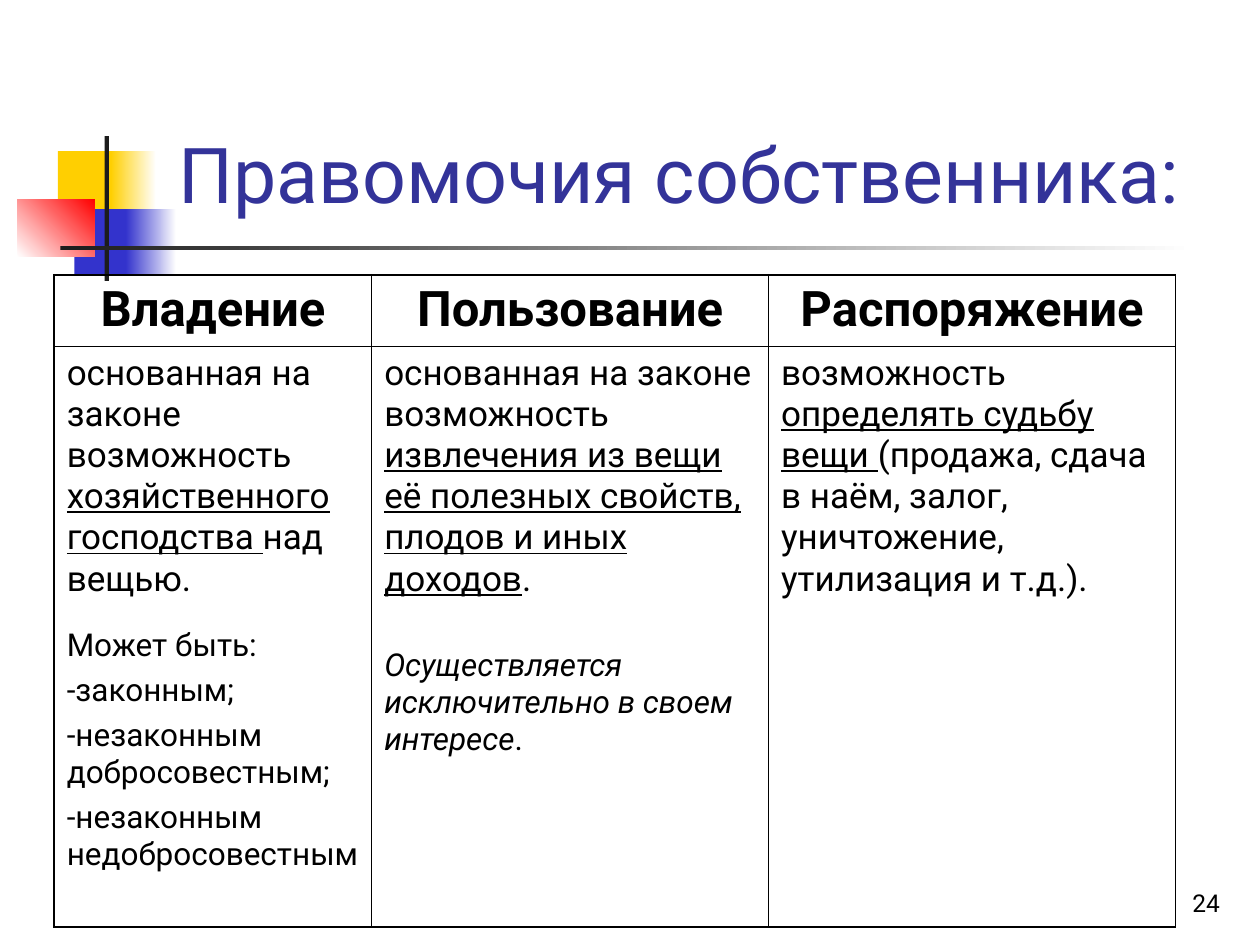
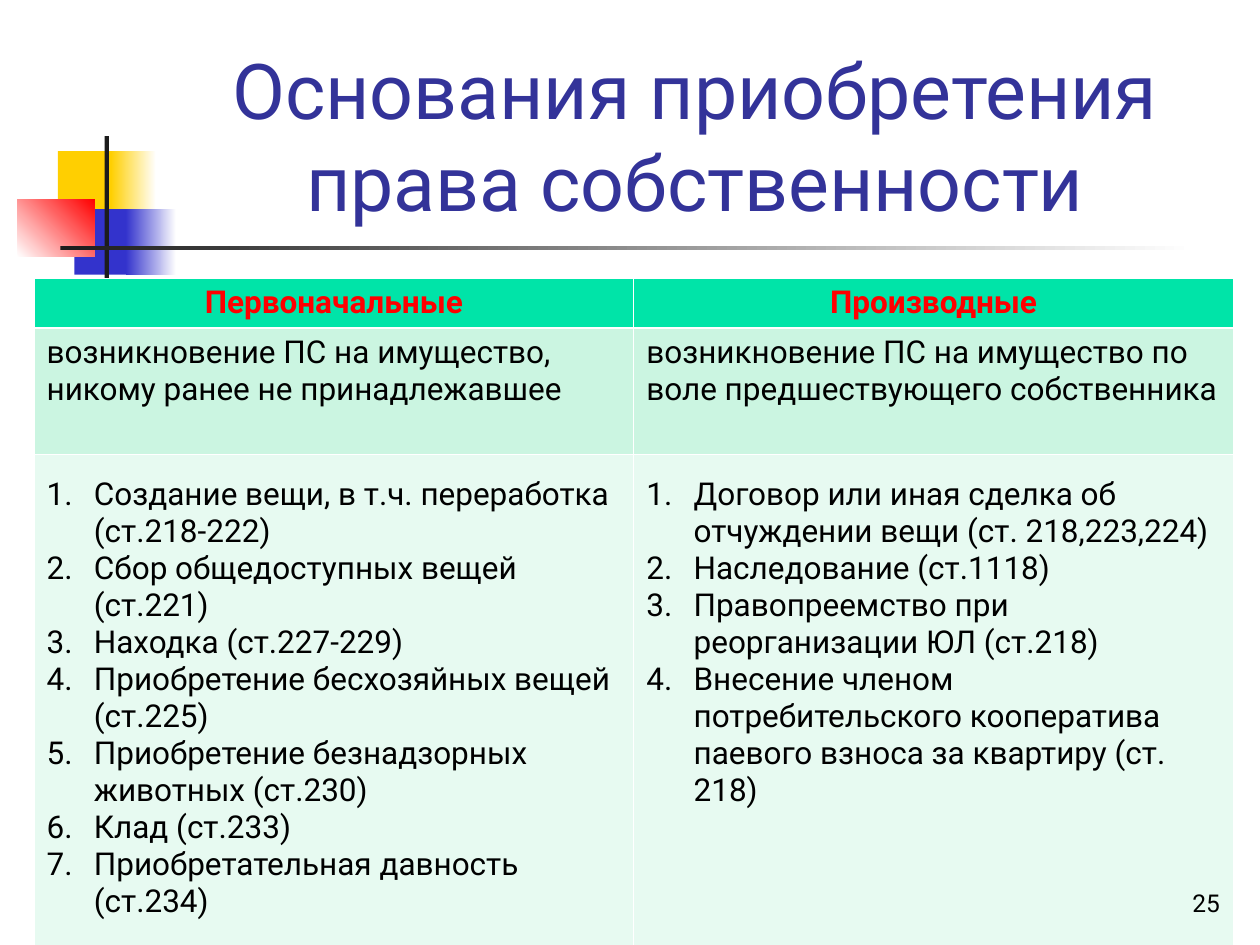
from dataclasses import dataclass

from lxml import etree
from pptx import Presentation
from pptx.dml.color import RGBColor
from pptx.enum.shapes import MSO_SHAPE
from pptx.enum.text import MSO_ANCHOR, MSO_AUTO_SIZE, PP_ALIGN
from pptx.oxml.ns import qn
from pptx.util import Inches, Pt

RECTANGLE = MSO_SHAPE.RECTANGLE
BOTTOM = MSO_ANCHOR.BOTTOM
TOP = MSO_ANCHOR.TOP
NO_FIT = MSO_AUTO_SIZE.NONE
LEFT, CENTER, RIGHT = PP_ALIGN.LEFT, PP_ALIGN.CENTER, PP_ALIGN.RIGHT

FONT = "Roboto"
COLUMNS, ROWS = 100, 75
TITLE_ONLY = 5
FIRST_ORNAMENT_ID = 20
THICK, THIN, HEADER_RULE = 1.08, 0.45, 1.47
COLORS = {
    "title": "333399",
    "text": "000000",
    "white": "FFFFFF",
    "yellow": "FFCF01",
    "blue": "3333CC",
    "red": "FF0000",
    "dark": "1C1C1C",
    "header": "00E4A8",
    "definition": "CBF5E1",
    "list": "E7FAF1",
}
ORNAMENT = [
    ((4.6, 12, 4.8, 5.2), ["yellow"], 0),
    ((8.8, 12, 3.6, 5.2), ["yellow", "white"], 0),
    ((5.9, 16.6, 4.6, 5.2), ["blue"], 0),
    ((10, 16.6, 4, 5.2), ["blue", "white"], 0),
    ((1.4, 15.8, 6.1, 4.6), ["white", "red"], 45),
    ((8.3, 10.8, 0.35, 11.5), ["dark"], 0),
    ((4.8, 19.5, 90, 0.35), ["dark", "white"], 0),
]


def rgb(name):
    return RGBColor.from_string(COLORS[name])


@dataclass
class Line:
    runs: list
    size: float
    align: PP_ALIGN = LEFT
    before: float = 0
    numbered: bool = False
    color: str = "text"


class Deck:
    def __init__(self):
        self.presentation = Presentation()
        self.presentation.slide_width = Inches(10)
        self.presentation.slide_height = Inches(7.5)
        self.layout = self.presentation.slide_layouts[TITLE_ONLY]
        self.slide = None

    def across(self, columns):
        return round(self.presentation.slide_width * columns / COLUMNS)

    def down(self, rows):
        return round(self.presentation.slide_height * rows / ROWS)

    def box(self, area):
        left, top, width, height = area
        return self.across(left), self.down(top), self.across(width), self.down(height)

    def new_slide(self, title, area):
        self.slide = self.presentation.slides.add_slide(self.layout)
        heading = self.slide.shapes.title
        heading.left, heading.top, heading.width, heading.height = self.box(area)
        frame = heading.text_frame
        frame.auto_size = NO_FIT
        frame.vertical_anchor = BOTTOM
        self.fill_text(frame, [Line([(title, "")], 44, CENTER, color="title")])

    def share_ornament(self):
        for number, (area, tones, angle) in enumerate(ORNAMENT, FIRST_ORNAMENT_ID):
            block = self.slide.shapes.add_shape(RECTANGLE, *self.box(area))
            block.shadow.inherit = False
            block.line.fill.background()
            if len(tones) == 1:
                block.fill.solid()
                block.fill.fore_color.rgb = rgb(tones[0])
            else:
                block.fill.gradient()
                block.fill.gradient_angle = angle
                for stop, tone in zip(block.fill.gradient_stops, tones):
                    stop.color.rgb = rgb(tone)
            block.element.nvSpPr.cNvPr.set("id", str(number))
            self.layout.shapes.element.append(block.element)

    def fill_text(self, frame, lines):
        for index, line in enumerate(lines):
            paragraph = frame.paragraphs[0] if index == 0 else frame.add_paragraph()
            paragraph.alignment = line.align
            if line.before:
                paragraph.space_before = Pt(line.before)
            if line.numbered:
                self.number(paragraph)
            for text, style in line.runs:
                run = paragraph.add_run()
                run.text = text
                run.font.name = FONT
                run.font.size = Pt(line.size)
                run.font.color.rgb = rgb(line.color)
                run.font.bold = "b" in style
                run.font.italic = "i" in style
                run.font.underline = "u" in style

    def number(self, paragraph):
        properties = paragraph._p.get_or_add_pPr()
        indent = self.across(3.75)
        properties.set("marL", str(indent))
        properties.set("indent", str(-indent))
        etree.SubElement(properties, qn("a:buAutoNum"), type="arabicPeriod")

    def page_number(self, number):
        label = self.slide.shapes.add_textbox(*self.box((77, 68.3, 20.8, 5)))
        label.text_frame.word_wrap = True
        label.text_frame.vertical_anchor = BOTTOM
        self.fill_text(label.text_frame, [Line([(str(number), "")], 14, RIGHT)])

    def table(self, origin, widths, heights, cells, fills, rule, horizontal, vertical):
        area = (*origin, sum(widths), sum(heights))
        grid = self.slide.shapes.add_table(len(heights), len(widths), *self.box(area)).table
        grid.first_row = grid.horz_banding = False
        for column, width in zip(grid.columns, widths):
            column.width = self.across(width)
        for row, height in zip(grid.rows, heights):
            row.height = self.down(height)
        for r, row_cells in enumerate(cells):
            for c, lines in enumerate(row_cells):
                cell = grid.cell(r, c)
                cell.vertical_anchor = TOP
                if lines[0].numbered:
                    cell.margin_top = self.down(1.8)
                if fills:
                    cell.fill.solid()
                    cell.fill.fore_color.rgb = rgb(fills[r])
                else:
                    cell.fill.background()
                self.fill_text(cell.text_frame, lines)
                self.borders(cell, rule, {
                    "L": vertical[c], "R": vertical[c + 1],
                    "T": horizontal[r], "B": horizontal[r + 1],
                })

    def borders(self, cell, rule, sides):
        properties = cell._tc.get_or_add_tcPr()
        for index, (side, width) in enumerate(sides.items()):
            edge = etree.Element(qn(f"a:ln{side}"), w=str(Pt(width)))
            paint = etree.SubElement(edge, qn("a:solidFill"))
            etree.SubElement(paint, qn("a:srgbClr"), val=COLORS[rule])
            properties.insert(index, edge)


def header(names, size, color="text"):
    return [[Line([(name, "b")], size, CENTER, color=color)] for name in names]


def numbered(items):
    return [Line([(item, "")], 18, numbered=True) for item in items]


def owner_powers(deck):
    deck.new_slide("Правомочия собственника: ", (12.2, 5.4, 85, 12.5))
    deck.share_ornament()
    deck.page_number(24)
    kinds = ["-законным;", "-незаконным добросовестным;", "-незаконным недобросовестным"]
    possession = [
        Line([("основанная на законе возможность ", ""),
              ("хозяйственного господства ", "u"), ("над вещью.", "")], 20),
        Line([("Может быть:", "")], 18, before=16),
        *[Line([(kind, "")], 18, before=4.5) for kind in kinds],
    ]
    use = [
        Line([("основанная на законе возможность ", ""),
              ("извлечения из вещи её полезных свойств, плодов и иных доходов", "u"),
              (".", "")], 20),
        Line([("Осуществляется исключительно в своем интересе", "i"), (".", "")],
             18, before=27),
    ]
    disposal = [
        Line([("возможность ", ""), ("определять судьбу вещи ", "u"),
              ("(продажа, сдача в наём, залог, уничтожение, утилизация и т.д.).", "")], 20),
    ]
    cells = [
        header(["Владение", "Пользование", "Распоряжение"], 28),
        [possession, use, disposal],
    ]
    deck.table((4.3, 21.8), [25.2, 31.5, 32.3], [5.7, 46.1], cells, None, "text",
               [THICK, THIN, THICK], [THICK, THIN, THIN, THICK])


def acquisition_grounds(deck):
    deck.new_slide("Основания приобретения права собственности", (12.6, 2.5, 85.2, 16))
    definitions = [
        "возникновение ПС на имущество, никому ранее не принадлежавшее",
        "возникновение ПС на имущество по воле предшествующего собственника",
    ]
    original_grounds = numbered([
        "Создание вещи, в т.ч. переработка (ст.218-222)",
        "Сбор общедоступных вещей (ст.221)",
        "Находка (ст.227-229)",
        "Приобретение бесхозяйных вещей (ст.225)",
        "Приобретение безнадзорных животных (ст.230)",
        "Клад (ст.233)",
        "Приобретательная давность (ст.234)",
    ])
    derived_grounds = numbered([
        "Договор или иная сделка об отчуждении вещи (ст. 218,223,224)",
        "Наследование (ст.1118)",
        "Правопреемство при реорганизации ЮЛ (ст.218)",
        "Внесение членом потребительского кооператива паевого взноса за квартиру (ст. 218)",
    ])
    cells = [
        header(["Первоначальные", "Производные"], 18, "red"),
        [[Line([(definition, "")], 18)] for definition in definitions],
        [original_grounds, derived_grounds],
    ]
    top, heading, definition = 22.1, 3.9, 10
    heights = [heading, definition, ROWS - top - heading - definition]
    deck.table((2.7, top), [47.6] * 2, heights, cells,
               ["header", "definition", "list"], "white",
               [THIN, HEADER_RULE, THIN, THIN], [THIN] * 3)
    deck.page_number(25)


def main():
    deck = Deck()
    owner_powers(deck)
    acquisition_grounds(deck)
    deck.presentation.save("out.pptx")


if __name__ == "__main__":
    main()
